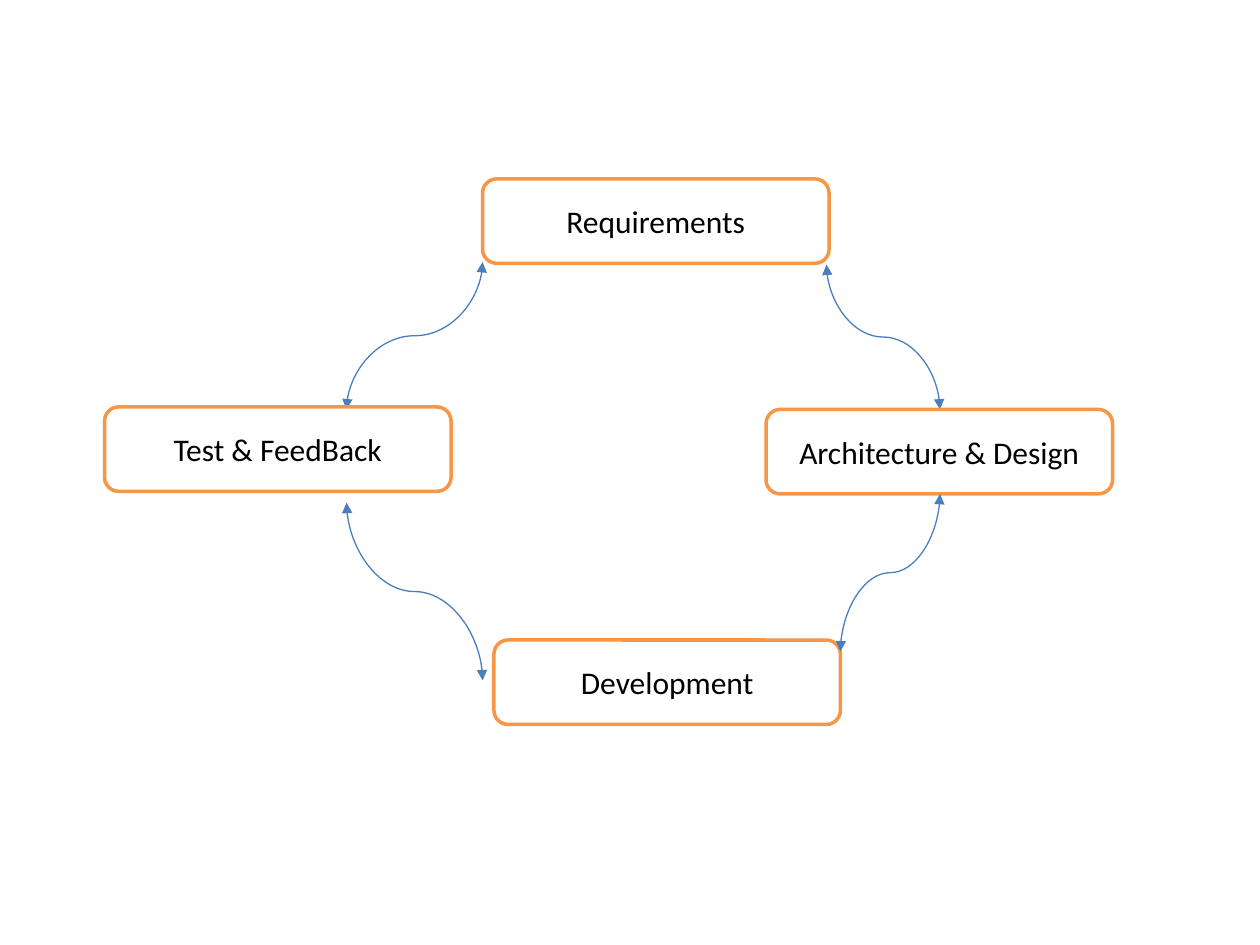
"""Build a slide with a four-stage development cycle joined by curved arrows."""
from pptx import Presentation
from pptx.dml.color import RGBColor
from pptx.enum import shapes, text
from pptx.oxml import ns, xmlchemy
from pptx.util import Inches, Pt

COLORS = {"fill": "FFFFFF", "border": "F79646", "arrow": "4B7EBC", "text": "000000"}
BOX_WIDTH, BOX_HEIGHT = 2.75, 0.67
STAGES = [
    ("Requirements", 3.83, 1.42),
    ("Test & FeedBack", 0.83, 3.23),
    ("Development", 3.92, 5.08),
    ("Architecture & Design", 6.08, 3.25),
]
UPPER_ARROWS = [((3.83, 2.08), (2.75, 3.25)), ((6.56, 2.1), (7.46, 3.25))]
LOWER_ARROWS = [((2.75, 3.99), (3.83, 5.4)), ((7.46, 3.92), (6.67, 5.17))]


def color(name):
    return RGBColor.from_string(COLORS[name])


def add_stage(page, label, left, top):
    box = page.shapes.add_shape(
        shapes.MSO_SHAPE.ROUNDED_RECTANGLE,
        Inches(left), Inches(top), Inches(BOX_WIDTH), Inches(BOX_HEIGHT))
    box.shadow.inherit = False
    box.fill.solid()
    box.fill.fore_color.rgb = color("fill")
    box.line.color.rgb = color("border")
    box.line.width = Pt(2)
    frame = box.text_frame
    frame.text = label
    frame.word_wrap = True
    frame.vertical_anchor = text.MSO_ANCHOR.MIDDLE
    para = frame.paragraphs[0]
    para.alignment = text.PP_ALIGN.CENTER
    font = para.runs[0].font
    font.name, font.size = "Calibri", Pt(18)
    font.color.rgb = color("text")


def add_curved_arrow(page, start, end):
    """Draw a downward double-headed curve by turning a sideways one upright."""
    (x1, y1), (x2, y2) = start, end
    center_x, center_y = (x1 + x2) / 2, (y1 + y2) / 2
    half_height = abs(x2 - x1) / 2
    goes_right = x2 > x1
    half_width = (y2 - y1) / 2 * (-1 if goes_right else 1)
    arrow = page.shapes.add_connector(
        shapes.MSO_CONNECTOR.CURVE,
        Inches(center_x - half_width), Inches(center_y - half_height),
        Inches(center_x + half_width), Inches(center_y + half_height))
    arrow.line.color.rgb = color("arrow")
    arrow.line.width = Pt(0.75)
    properties = arrow._element.spPr
    degrees = 270 if goes_right else 90
    properties.find(ns.qn("a:xfrm")).set("rot", str(degrees * 60000))
    for tag in ("a:headEnd", "a:tailEnd"):
        arrowhead = xmlchemy.OxmlElement(tag)
        arrowhead.set("type", "triangle")
        arrow.line._get_or_add_ln().append(arrowhead)
    properties.append(xmlchemy.OxmlElement("a:effectLst"))


def main():
    deck = Presentation()
    deck.slide_width, deck.slide_height = Inches(10), Inches(7.5)
    page = deck.slides.add_slide(deck.slide_layouts[6])
    for start, end in UPPER_ARROWS:
        add_curved_arrow(page, start, end)
    for label, left, top in STAGES:
        add_stage(page, label, left, top)
    for start, end in LOWER_ARROWS:
        add_curved_arrow(page, start, end)
    deck.save("out.pptx")


if __name__ == "__main__":
    main()
